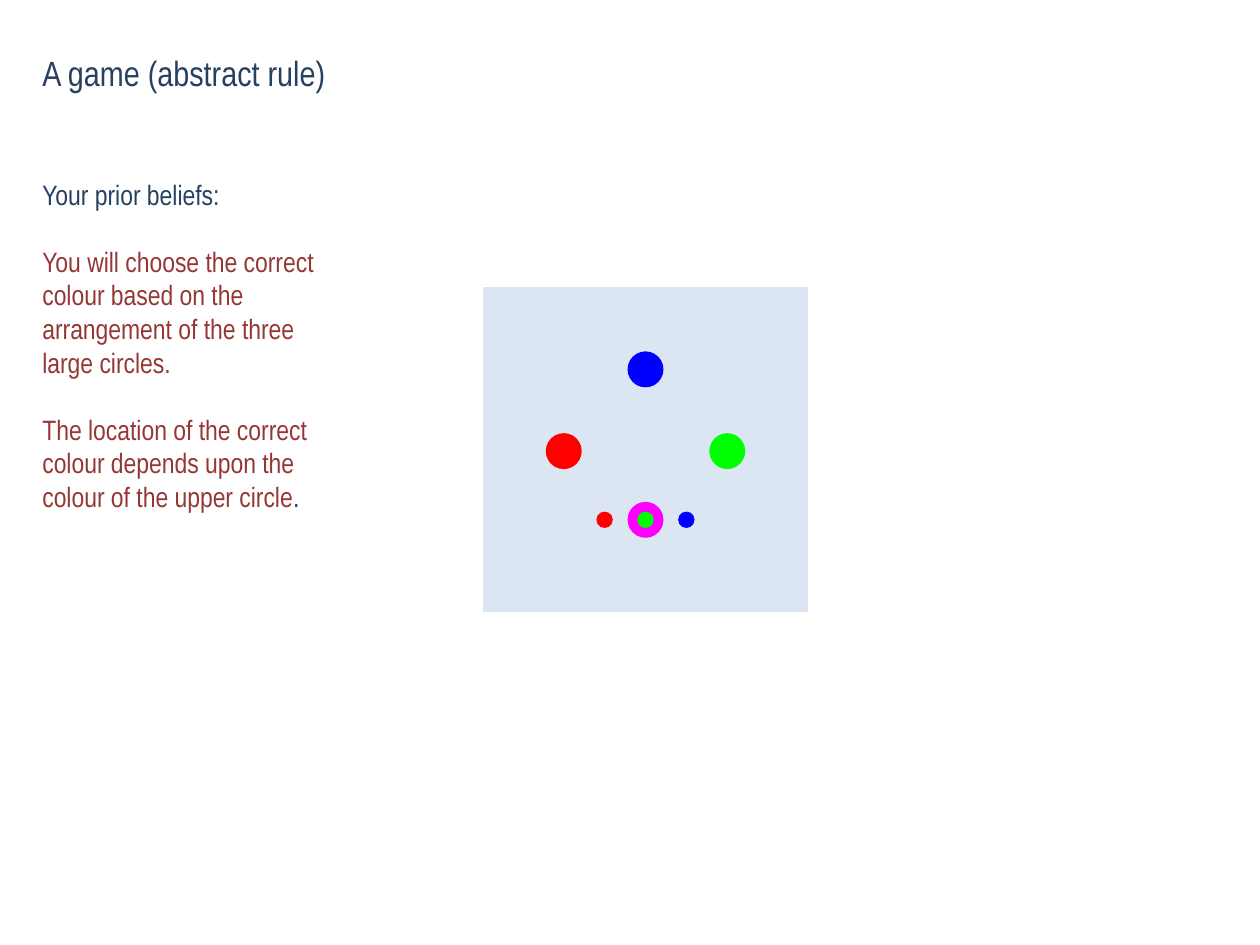
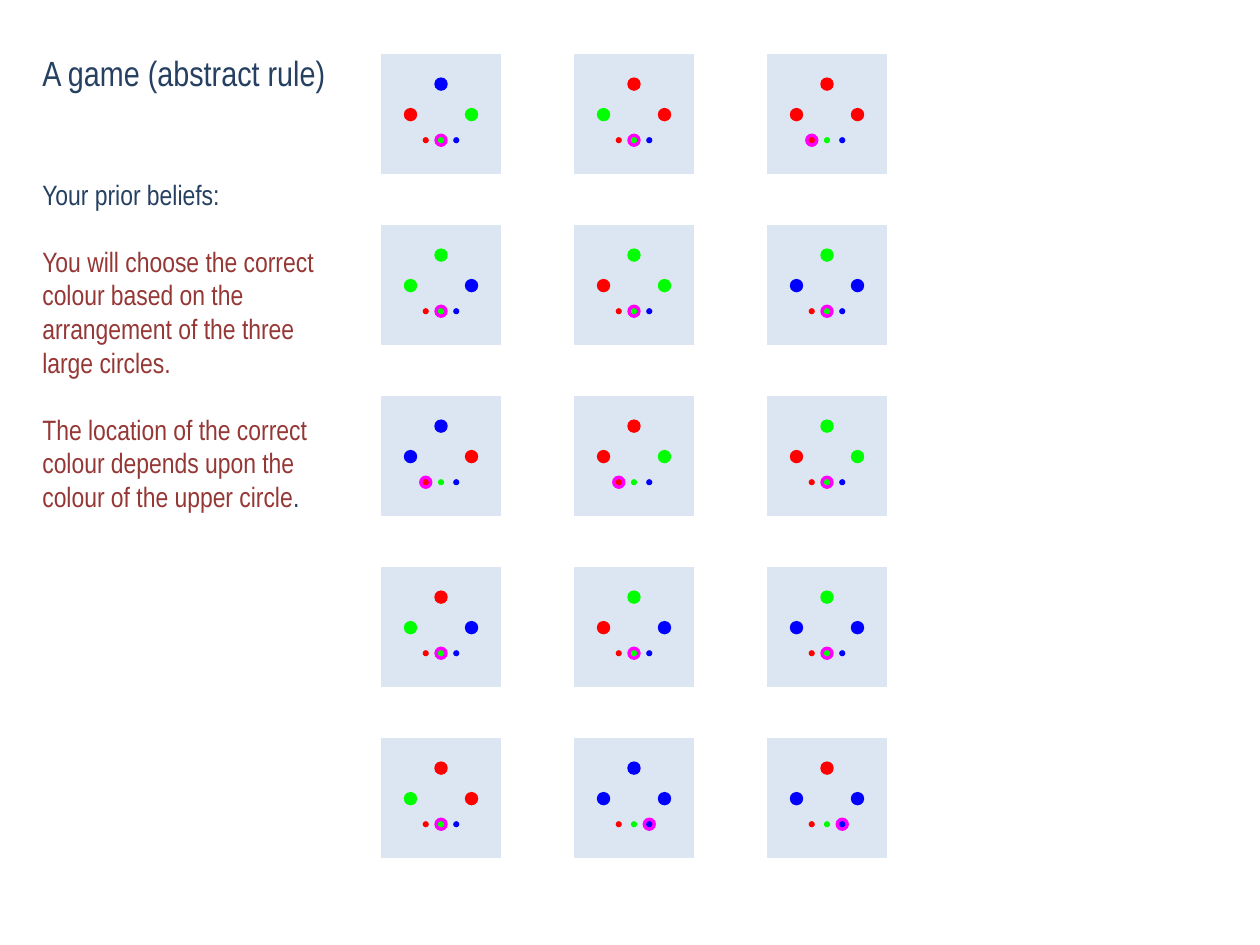
import pptx
import pptx.dml.color
import pptx.enum.shapes
import pptx.enum.text
import pptx.util

PX = 914400 / 126
FONT = "Arial Narrow"
COLORS = {
    "navy": "254061", "brick": "953735", "panel": "DCE6F2", "edge": "FFFFFF",
    "ring": "FF00FF", "R": "FF0000", "G": "00FF00", "B": "0000FF",
}

# Circle sizes and centres as fractions of the board's side
LARGE, SMALL = 0.11, 0.05
LARGE_CENTRES = [(0.25, 0.505), (0.5, 0.255), (0.75, 0.505)]
OPTIONS = "RGB"
OPTION_GAP, OPTION_Y = 0.125, 0.715

# Each trial: colours of the left, upper and right circle, then the answer
TRIALS = [
    ["RBG G", "GRR G", "RRR R"],
    ["GGB G", "RGG G", "BGB G"],
    ["BBR R", "RRG R", "RGG G"],
    ["GRB G", "RGB G", "BGB G"],
    ["GRR G", "BBB B", "BRB B"],
]

# Space before, then runs of text, size and colour
BELIEFS = [
    (0, [("A game (abstract rule)", 20, "navy")]),
    (48, [("Your prior beliefs:", 16, "navy")]),
    (19.2, [("You will choose the correct colour based on the arrangement "
             "of the three large circles.", 16, "brick")]),
    (19.2, [("The location of the correct colour depends upon the colour "
             "of the upper circle", 16, "brick"), (".", 16, "navy")]),
]


def emu(px):
    return round(px * PX)


def rgb(name):
    return pptx.dml.color.RGBColor.from_string(COLORS[name])


def add_run(p, text, size=16, color="navy"):
    r = p.add_run()
    r.text = text
    r.font.name = FONT
    r.font.size = pptx.util.Pt(size)
    r.font.color.rgb = rgb(color)


class Deck:
    """Holds the presentation and the slide being drawn."""

    def __init__(self):
        self.prs = pptx.Presentation()
        self.prs.slide_width = emu(1260)
        self.prs.slide_height = emu(945)

    def new_slide(self):
        self.s = self.prs.slides.add_slide(self.prs.slide_layouts[6])

    def shape(self, kind, x, y, size, color):
        sp = self.s.shapes.add_shape(kind, emu(x), emu(y), emu(size), emu(size))
        sp.shadow.inherit = False
        sp.fill.solid()
        sp.fill.fore_color.rgb = rgb(color)
        sp.line.fill.background()
        return sp

    def circle(self, cx, cy, size, color):
        self.shape(pptx.enum.shapes.MSO_SHAPE.OVAL,
                   cx - size / 2, cy - size / 2, size, color)

    def board(self, x, y, side, trial):
        """Draws the panel, its three large circles and the ringed answer."""
        circles, answer = trial.split()
        panel = self.shape(pptx.enum.shapes.MSO_SHAPE.RECTANGLE, x, y, side, "panel")
        panel.line.color.rgb = rgb("edge")
        panel.line.width = 0
        for (fx, fy), color in zip(LARGE_CENTRES, circles):
            self.circle(x + fx * side, y + fy * side, LARGE * side, color)
        for i, color in enumerate(OPTIONS):
            cx = x + (0.5 + (i - 1) * OPTION_GAP) * side
            cy = y + OPTION_Y * side
            if color == answer:
                self.circle(cx, cy, LARGE * side, "ring")
            self.circle(cx, cy, SMALL * side, color)

    def text(self, x, y, w, h, paragraphs):
        tf = self.s.shapes.add_textbox(emu(x), emu(y), emu(w), emu(h)).text_frame
        tf.word_wrap = True
        tf.auto_size = pptx.enum.text.MSO_AUTO_SIZE.SHAPE_TO_FIT_TEXT
        for i, (before, runs) in enumerate(paragraphs):
            p = tf.add_paragraph() if i else tf.paragraphs[0]
            if before:
                p.space_before = pptx.util.Pt(before)
            for text, size, color in runs:
                add_run(p, text, size=size, color=color)

    def beliefs(self):
        self.text(30, 45, 318, 564, BELIEFS)


def main():
    deck = Deck()

    deck.new_slide()
    deck.board(482, 286, 327, TRIALS[0][0])
    deck.beliefs()

    deck.new_slide()
    for row, trials in enumerate(TRIALS):
        for col, trial in enumerate(trials):
            deck.board(380 + 193 * col, 53 + 171 * row, 122, trial)
    deck.beliefs()

    deck.prs.save("out.pptx")


if __name__ == "__main__":
    main()
